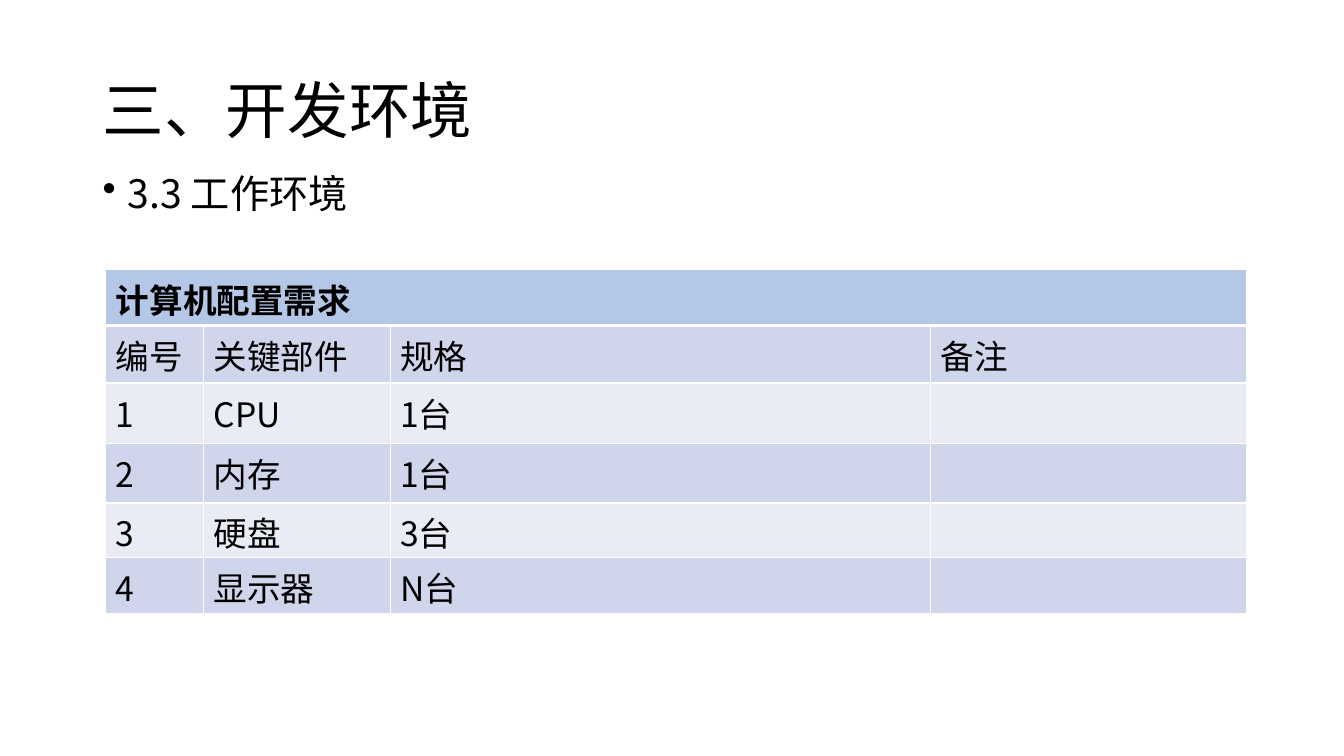
import pptx
import pptx.dml.color
import pptx.enum.text
import pptx.oxml
import pptx.oxml.ns
import pptx.util
from pptx.util import Inches

BLACK = pptx.dml.color.RGBColor(0x00, 0x00, 0x00)
WHITE = pptx.dml.color.RGBColor(0xFF, 0xFF, 0xFF)
HEADING_BLUE = pptx.dml.color.RGBColor(0xB4, 0xC7, 0xE7)
DARK_BAND = pptx.dml.color.RGBColor(0xCF, 0xD5, 0xEA)
LIGHT_BAND = pptx.dml.color.RGBColor(0xE9, 0xEB, 0xF5)

COLUMN_WIDTHS = [0.97, 1.85, 5.36, 3.13]
ROW_HEIGHTS = [0.56, 0.57, 0.6, 0.59, 0.54, 0.56]
REQUIREMENTS = [
    ["计算机配置需求", "", "", ""],
    ["编号", "关键部件", "规格", "备注"],
    ["1", "CPU", "1台", ""],
    ["2", "内存", "1台", ""],
    ["3", "硬盘", "3台", ""],
    ["4", "显示器", "N台", ""],
]


class SlideBuilder:
    """Holds the text style and the current slide."""

    font_name = "Noto Sans CJK SC"

    def __init__(self, slide):
        self.slide = slide

    def style(self, paragraph, size, bold=False):
        font = paragraph.font
        font.size = pptx.util.Pt(size)
        font.bold = bold
        font.color.rgb = BLACK
        font.name = self.font_name
        properties = paragraph._p.get_or_add_pPr().find(pptx.oxml.ns.qn("a:defRPr"))
        pptx.oxml.ns.qn("a:ea")
        east_asian = properties.makeelement(pptx.oxml.ns.qn("a:ea"), {"typeface": self.font_name})
        properties.append(east_asian)

    def text(self, words, left, top, width, height, size, anchor):
        box = self.slide.shapes.add_textbox(Inches(left), Inches(top), Inches(width), Inches(height))
        frame = box.text_frame
        frame.word_wrap = True
        frame.vertical_anchor = anchor
        paragraph = frame.paragraphs[0]
        paragraph.text = words
        paragraph.line_spacing = 0.9
        self.style(paragraph, size)
        return paragraph

    def bullet(self, words, left, top, width, height, size):
        paragraph = self.text(words, left, top, width, height, size, pptx.enum.text.MSO_ANCHOR.TOP)
        paragraph.space_before = pptx.util.Pt(10)
        properties = paragraph._p.get_or_add_pPr()
        properties.set("marL", str(Inches(0.25)))
        properties.set("indent", str(Inches(-0.25)))
        mark = properties.makeelement(pptx.oxml.ns.qn("a:buChar"), {"char": "•"})
        properties.find(pptx.oxml.ns.qn("a:defRPr")).addprevious(mark)

    def border(self, cell, side, width):
        line = pptx.oxml.parse_xml(
            f'<a:ln{side} {pptx.oxml.ns.nsdecls("a")} w="{pptx.util.Pt(width)}">'
            f'<a:solidFill><a:srgbClr val="{WHITE}"/></a:solidFill></a:ln{side}>'
        )
        cell._tc.get_or_add_tcPr().append(line)

    def table(self, rows, left, top, widths, heights, size):
        frame = self.slide.shapes.add_table(
            len(rows), len(widths), Inches(left), Inches(top), Inches(sum(widths)), Inches(sum(heights))
        )
        table = frame.table
        for column, width in zip(table.columns, widths):
            column.width = Inches(width)
        for row, height in zip(table.rows, heights):
            row.height = Inches(height)
        for row_index, row in enumerate(rows):
            heading = row_index == 0
            band = DARK_BAND if row_index % 2 else LIGHT_BAND
            edges = {"L": 1, "R": 1, "T": 3 if row_index == 1 else 1, "B": 3 if heading else 1}
            for column_index, words in enumerate(row):
                cell = table.cell(row_index, column_index)
                cell.text = words
                self.style(cell.text_frame.paragraphs[0], size, heading)
                for side, width in edges.items():
                    self.border(cell, side, width)
                cell.fill.solid()
                cell.fill.fore_color.rgb = HEADING_BLUE if heading else band
        table.cell(0, 0).merge(table.cell(0, len(widths) - 1))


def main():
    presentation = pptx.Presentation()
    presentation.slide_width = Inches(13.33)
    presentation.slide_height = Inches(7.5)
    builder = SlideBuilder(presentation.slides.add_slide(presentation.slide_layouts[6]))
    builder.text("三、开发环境", 0.92, 0.4, 11.5, 1.45, 44, pptx.enum.text.MSO_ANCHOR.MIDDLE)
    builder.bullet("3.3 工作环境", 0.92, 1.68, 11.5, 5.07, 28)
    builder.table(REQUIREMENTS, 1.05, 2.67, COLUMN_WIDTHS, ROW_HEIGHTS, 24)
    presentation.save("out.pptx")


if __name__ == "__main__":
    main()
